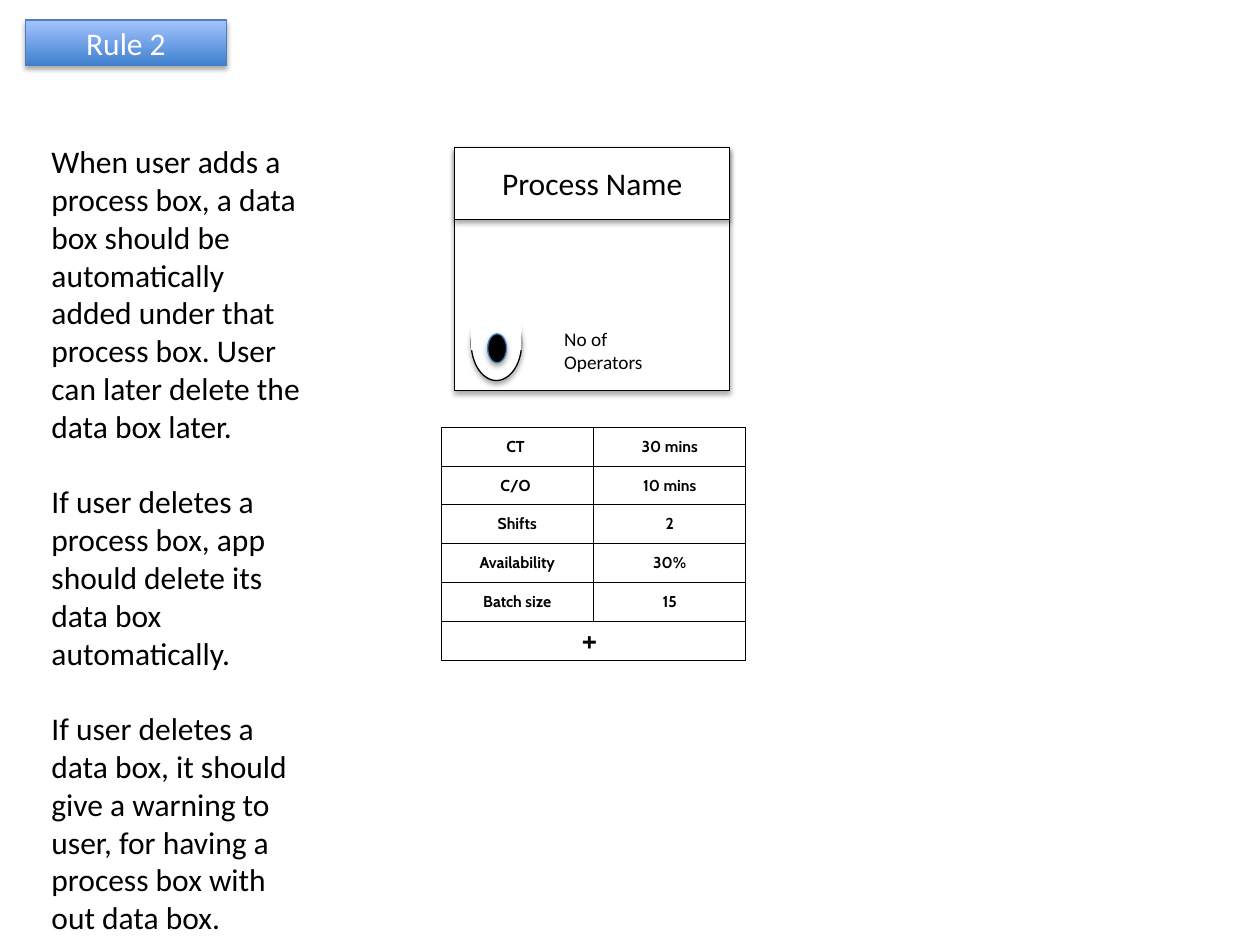
from lxml import etree
from pptx import Presentation
from pptx.dml.color import RGBColor
from pptx.enum.shapes import MSO_SHAPE
from pptx.enum.text import MSO_ANCHOR, MSO_AUTO_SIZE, PP_ALIGN
from pptx.oxml.ns import qn
from pptx.util import Inches, Pt

RECT, OVAL = MSO_SHAPE.RECTANGLE, MSO_SHAPE.OVAL
MIDDLE, CENTER, LEFT = MSO_ANCHOR.MIDDLE, PP_ALIGN.CENTER, PP_ALIGN.LEFT
BLACK, WHITE, BLUE = "000000", "FFFFFF", "4B7EBC"
GRADIENT = ("3F80CE", "A4C4FF")

# Content
TITLE = "Rule 2"
RULES = [
    "When user adds a process box, a data box should be automatically added "
    "under that process box. User can later delete the data box later.",
    "If user deletes a process box, app should delete its data box automatically.",
    "If user deletes a data box, it should give a warning to user, for having "
    "a process box with out data box.",
]
PROCESS_NAME = "Process Name"
OPERATORS = "No of Operators"
DATA_ROWS = [
    ("CT ", "30 mins"),
    ("C/O ", "10 mins"),
    ("Shifts", "2"),
    ("Availability", "30%"),
    ("Batch size", "15"),
]
ADD_ROW = "+ "
TABLE_BOX = (3.5, 3.39, 2.42, 1.85)


def color(value):
    return RGBColor.from_string(value)


def add_text(para, text, size, ink=BLACK, font="Calibri", bold=False, align=LEFT):
    para.alignment = align
    span = para.add_run()
    span.text = text
    span.font.size = Pt(size)
    span.font.name = font
    span.font.bold = bold
    span.font.color.rgb = color(ink)


def add_shadow(shape):
    effects = shape._element.spPr.find(qn("a:effectLst"))
    shadow = etree.SubElement(effects, qn("a:outerShdw"), blurRad=str(Pt(3.1)),
                              dist=str(Pt(1.8)), dir="5400000", rotWithShape="0")
    black = etree.SubElement(shadow, qn("a:srgbClr"), val=BLACK)
    etree.SubElement(black, qn("a:alpha"), val="35000")


def add_box(shapes, kind, bounds, fill=WHITE, line=BLACK):
    shape = shapes.add_shape(kind, *map(Inches, bounds))
    shape.shadow.inherit = False
    shape.fill.solid()
    shape.fill.fore_color.rgb = color(fill)
    if line:
        shape.line.color.rgb = color(line)
        shape.line.width = Pt(0.75)
        add_shadow(shape)
    else:
        shape.line.fill.background()
    return shape


def add_label(shape, text, ink=BLACK):
    shape.text_frame.vertical_anchor = MIDDLE
    add_text(shape.text_frame.paragraphs[0], text, 18, ink, align=CENTER)


def add_note(shapes, bounds, texts, size, gap=0):
    frame = shapes.add_textbox(*map(Inches, bounds)).text_frame
    frame.word_wrap = True
    frame.auto_size = MSO_AUTO_SIZE.SHAPE_TO_FIT_TEXT
    for index, text in enumerate(texts):
        para = frame.add_paragraph() if index else frame.paragraphs[0]
        para.space_before = Pt(gap if index else 0)
        add_text(para, text, size)


def style_cell(cell):
    cell.fill.background()
    cell.vertical_anchor = MIDDLE
    cell.margin_left = cell.margin_right = cell.margin_top = cell.margin_bottom = 0
    properties = cell._tc.get_or_add_tcPr()
    for index, side in enumerate(("lnL", "lnR", "lnT", "lnB")):
        border = etree.Element(qn("a:" + side), w=str(Pt(0.5)))
        fill = etree.SubElement(border, qn("a:solidFill"))
        etree.SubElement(fill, qn("a:srgbClr"), val=BLACK)
        properties.insert(index, border)


def add_process_box(page):
    shapes = page.shapes.add_group_shape().shapes
    add_box(shapes, RECT, (3.61, 1.17, 2.18, 1.93))
    add_label(add_box(shapes, RECT, (3.61, 1.17, 2.18, 0.57)), PROCESS_NAME)
    # Operator symbol: a bowl with its top half covered, and a head
    add_box(shapes, OVAL, (3.74, 2.43, 0.4, 0.59))
    add_box(shapes, RECT, (3.74, 2.42, 0.4, 0.36), line=None)
    add_box(shapes, OVAL, (3.87, 2.65, 0.15, 0.23), BLACK, BLUE)
    add_note(shapes, (4.38, 2.55, 0.93, 0.47), [OPERATORS], 11)


def add_data_box(page):
    count = len(DATA_ROWS) + 1
    table = page.shapes.add_table(count, 2, *map(Inches, TABLE_BOX)).table
    table.first_row = table.horz_banding = False
    for row in table.rows:
        for cell in row.cells:
            style_cell(cell)
    for row, values in zip(table.rows, DATA_ROWS):
        for cell, value in zip(row.cells, values):
            add_text(cell.text_frame.paragraphs[0], value, 9,
                     font="Cabin", bold=True, align=CENTER)
    last = table.cell(count - 1, 0)
    last.merge(table.cell(count - 1, 1))
    para = last.text_frame.paragraphs[0]
    para.line_spacing = 0.9
    add_text(para, ADD_ROW, 20, font="Cabin", align=CENTER)


def add_title(page):
    banner = add_box(page.shapes, RECT, (0.2, 0.16, 1.6, 0.36), line=BLUE)
    banner.fill.gradient()
    banner.fill.gradient_angle = 90
    for stop, value in zip(banner.fill.gradient_stops, GRADIENT):
        stop.color.rgb = color(value)
    add_label(banner, TITLE, WHITE)


def main():
    deck = Presentation()
    deck.slide_width, deck.slide_height = Inches(10), Inches(7.5)
    page = deck.slides.add_slide(deck.slide_layouts[6])
    add_process_box(page)
    add_data_box(page)
    add_note(page.shapes, (0.31, 1.08, 2.22, 6.46), RULES, 18, gap=21.6)
    add_title(page)
    deck.save("out.pptx")


if __name__ == "__main__":
    main()
